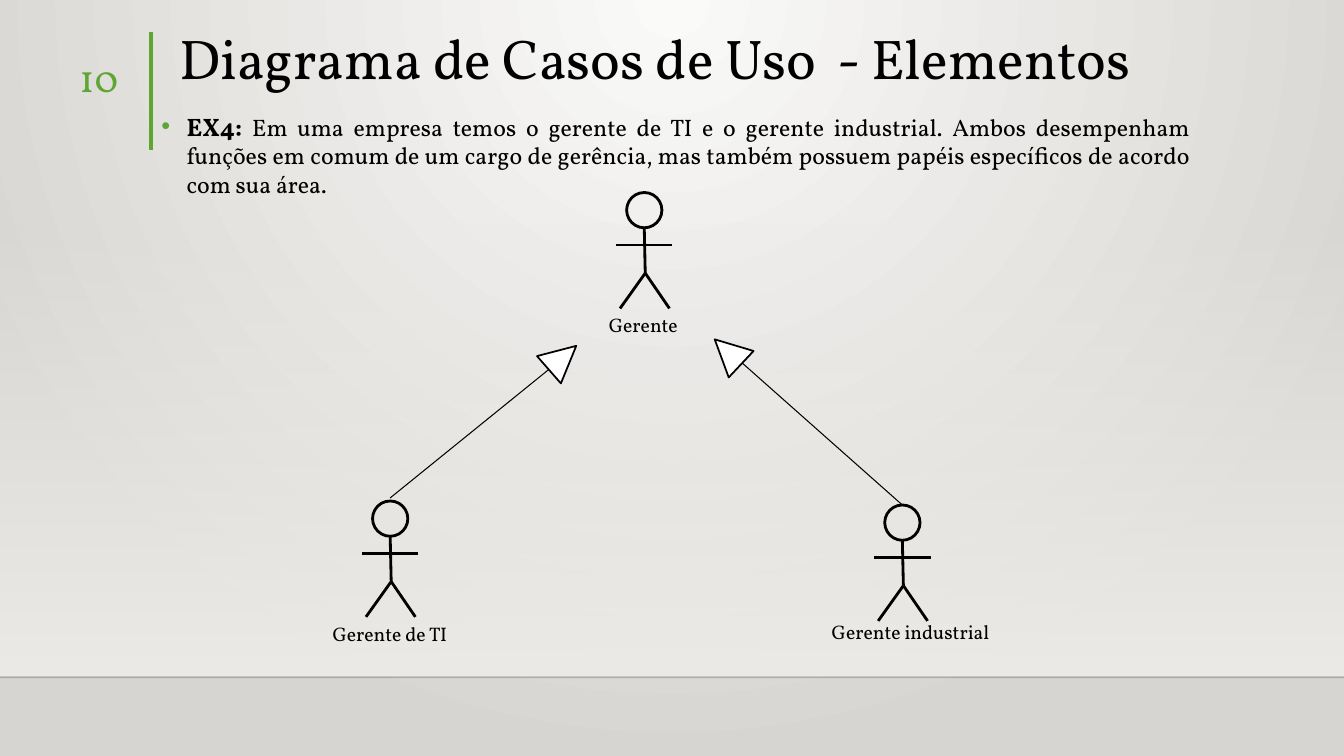
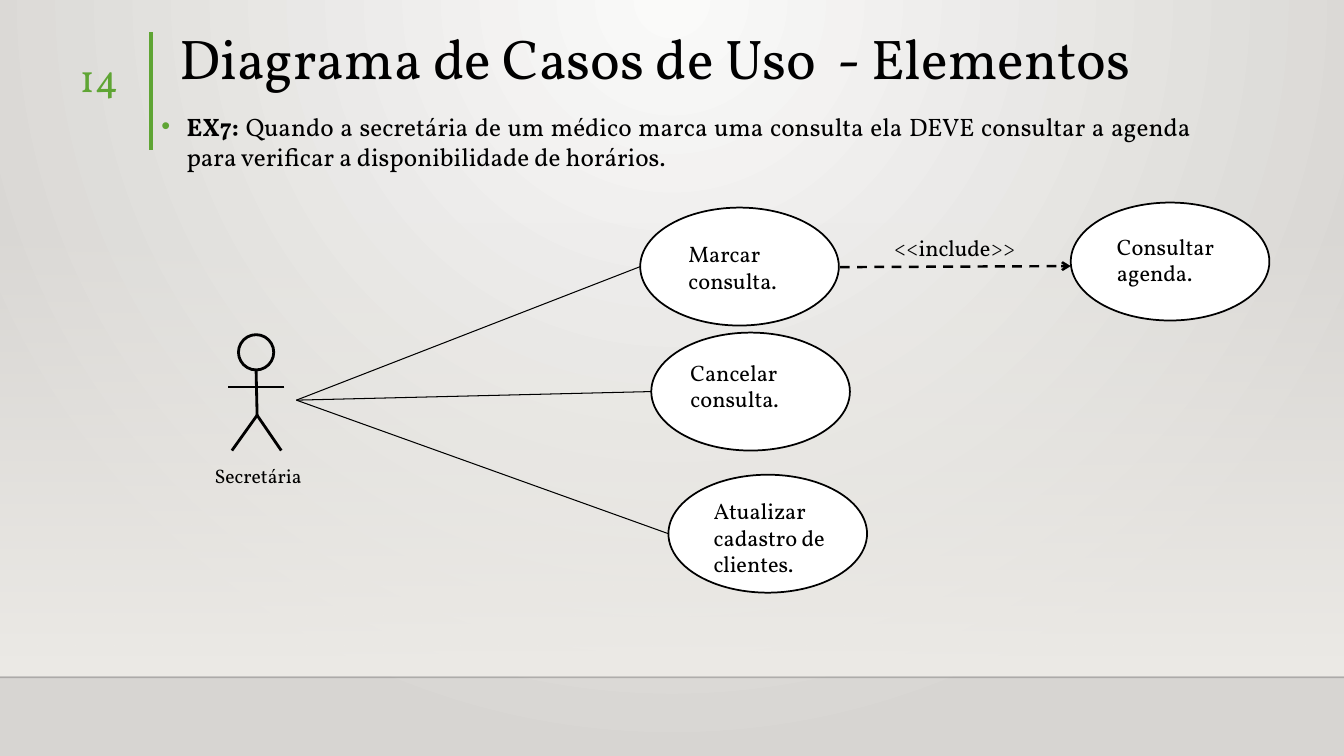
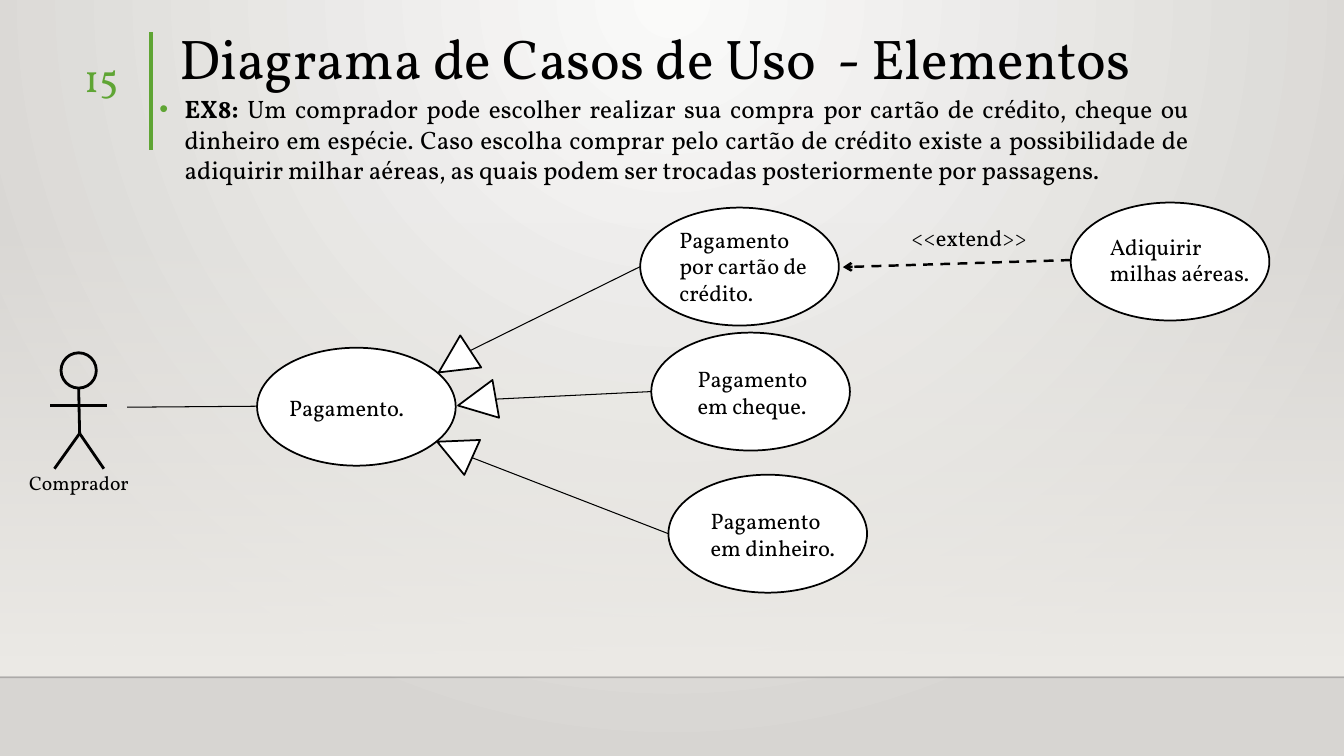
from lxml import etree
from pptx import Presentation
from pptx.dml.color import RGBColor
from pptx.enum.dml import MSO_LINE
from pptx.enum.shapes import MSO_CONNECTOR, MSO_SHAPE
from pptx.enum.text import MSO_ANCHOR, MSO_AUTO_SIZE, PP_ALIGN
from pptx.oxml import parse_xml
from pptx.oxml.ns import nsdecls, qn
from pptx.util import Inches, Pt

STRAIGHT = MSO_CONNECTOR.STRAIGHT
ELLIPSE, TRIANGLE, RECTANGLE = MSO_SHAPE.OVAL, MSO_SHAPE.ISOSCELES_TRIANGLE, MSO_SHAPE.RECTANGLE
LEFT, RIGHT, JUSTIFY = PP_ALIGN.LEFT, PP_ALIGN.RIGHT, PP_ALIGN.JUSTIFY
BOTTOM, NO_FIT, DASH = MSO_ANCHOR.BOTTOM, MSO_AUTO_SIZE.NONE, MSO_LINE.DASH

BLACK = RGBColor(0x00, 0x00, 0x00)
WHITE = RGBColor(0xFF, 0xFF, 0xFF)
GREEN = RGBColor(0x5F, 0xA5, 0x34)
BAND = RGBColor(0xED, 0xEB, 0xE7)
GLOW = RGBColor(0xFA, 0xFA, 0xF9)
EDGE = RGBColor(0xD7, 0xD5, 0xD2)
FONT = "Vollkorn"
TITLE = "Diagrama de Casos de Uso  - Elementos"

CASE_WIDTH, CASE_HEIGHT = 1.97, 1.17
CASE_SPOTS = [(6.35, 2.06), (6.46, 3.3), (6.63, 4.71), (10.62, 2.01)]
CASE_ENDS = [(x, y + CASE_HEIGHT / 2) for x, y in CASE_SPOTS]
SECRETARY_HAND = (2.94, 3.97)

# Stick figure, measured from the top centre of the head
HEAD = 0.35
LIMBS = [
    ((0, 0.35), (0.01, 0.8)),
    ((0.28, 0.52), (-0.28, 0.52)),
    ((0.01, 0.8), (-0.24, 1.15)),
    ((0.01, 0.8), (0.25, 1.15)),
]

# captions: text, left, top, width, size
# triangles: left, top, size, rotation
DIAGRAMS = [
    {
        "number": "10",
        "body_at": (1.5, 1.05, 1.77),
        "example": "EX4:",
        "statement": " Em uma empresa temos o gerente de TI e o gerente industrial. "
        "Ambos desempenham funções em comum de um cargo de gerência, mas também "
        "possuem papéis específicos de acordo com sua área.",
        "statement_size": 17,
        "actors": [(6.39, 1.91), (8.95, 5.01), (3.87, 4.97)],
        "cases": [],
        "lines": [((3.87, 4.94), (5.45, 3.66)), ((8.95, 5.01), (7.36, 3.6))],
        "triangles": [(5.4, 3.37, 0.36, 48.8), (7.04, 3.31, 0.36, 313.2)],
        "dependencies": [],
        "captions": [
            ("Gerente", 5.94, 3.06, 1.1, 14),
            ("Gerente de TI", 3.2, 6.12, 1.46, 14),
            ("Gerente industrial", 8.15, 6.1, 1.99, 14),
        ],
    },
    {
        "number": "14",
        "body_at": (1.5, 1.05, 0.72),
        "example": "EX7: ",
        "statement": "Quando a secretária de um médico marca uma consulta ela DEVE "
        "consultar a agenda para verificar a disponibilidade de horários.",
        "statement_size": 18,
        "actors": [(2.54, 3.32)],
        "cases": CASE_SPOTS,
        "lines": [(SECRETARY_HAND, end) for end in CASE_ENDS[:3]],
        "triangles": [],
        "dependencies": [((8.33, 2.65), (10.62, 2.64))],
        "captions": [
            ("Secretária", 2.03, 4.55, 1.14, 14),
            ("Marcar consulta.", 6.73, 2.33, 1.61, 16),
            ("Cancelar consulta.", 6.75, 3.51, 1.61, 16),
            ("Atualizar cadastro de clientes.", 6.98, 4.88, 1.61, 16),
            ("Consultar agenda.", 10.98, 2.26, 1.61, 16),
            ("<<include>>", 8.77, 2.27, 1.67, 16),
        ],
    },
    {
        "number": "15",
        "body_at": (1.48, 0.88, 1.77),
        "example": "EX8: ",
        "statement": "Um comprador pode escolher realizar sua compra por cartão de "
        "crédito, cheque ou dinheiro em espécie. Caso escolha comprar pelo cartão de "
        "crédito existe a possibilidade de adiquirir milhar aéreas, as quais podem ser "
        "trocadas posteriormente por passagens.",
        "statement_size": 18,
        "actors": [(0.78, 3.5)],
        "cases": CASE_SPOTS + [(2.55, 3.45)],
        "lines": [((1.26, 4.04), (2.55, 4.03))]
        + list(zip([(4.66, 3.48), (4.91, 3.96), (4.68, 4.54)], CASE_ENDS)),
        "triangles": [(4.54, 3.8, 0.38, 260), (4.32, 3.4, 0.38, 236.8), (4.32, 4.27, 0.38, 294.2)],
        "dependencies": [((10.62, 2.58), (8.36, 2.65))],
        "captions": [
            ("Comprador", 0.19, 4.62, 1.4, 14),
            ("Pagamento por cartão de crédito.", 6.64, 2.19, 1.61, 16),
            ("Pagamento em cheque.", 6.82, 3.57, 1.61, 16),
            ("Pagamento em dinheiro.", 6.95, 4.98, 1.61, 16),
            ("Adiquirir milhas aéreas.", 10.91, 2.26, 1.61, 16),
            ("<<extend>>", 8.94, 2.17, 1.67, 16),
            ("Pagamento.", 2.77, 3.86, 1.61, 16),
        ],
    },
]


def add_text(paragraph, text, size=16, color=BLACK, bold=False, align=LEFT):
    paragraph.alignment = align
    run = paragraph.add_run()
    run.text = text
    run.font.name = FONT
    run.font.size = Pt(size)
    run.font.bold = bold
    run.font.color.rgb = color


def add_line(shapes, start, end, width=0.75, color=BLACK, dependency=False):
    line = shapes.add_connector(STRAIGHT, *[Inches(v) for v in (*start, *end)])
    line.line.color.rgb = color
    line.line.width = Pt(width)
    properties = line.element.spPr
    if dependency:
        line.line.dash_style = DASH
        etree.SubElement(properties.find(qn("a:ln")), qn("a:tailEnd"), type="arrow")
    etree.SubElement(properties, qn("a:effectLst"))
    return line


prs = Presentation()
prs.slide_width, prs.slide_height = Inches(13.33), Inches(7.5)
layout = prs.slide_layouts[1]
slides = [prs.slides.add_slide(layout) for diagram in DIAGRAMS]

# Shared background: light from the top centre
layout.element.cSld.insert(0, parse_xml(
    f'<p:bg {nsdecls("p", "a")}><p:bgPr><a:gradFill rotWithShape="1"><a:gsLst>'
    f'<a:gs pos="0"><a:srgbClr val="{GLOW}"/></a:gs>'
    f'<a:gs pos="100000"><a:srgbClr val="{EDGE}"/></a:gs></a:gsLst>'
    '<a:path path="circle"><a:fillToRect l="43000" t="0" r="43000" b="100000"/></a:path>'
    '</a:gradFill><a:effectLst/></p:bgPr></p:bg>'))

# Shared band, floor line and title rule, drawn once and moved to the layout
shapes = slides[0].shapes
band = shapes.add_shape(RECTANGLE, 0, Inches(2.2), Inches(13.33), Inches(4.5))
band.shadow.inherit = False
band.line.fill.background()
band.fill.gradient()
band.fill.gradient_angle = 270
for stop in band.fill.gradient_stops:
    stop.color.rgb = BAND
floor_line = add_line(shapes, (0, 6.72), (13.33, 6.72), width=1)
title_rule = add_line(shapes, (1.5, 0.32), (1.5, 1.49), width=3, color=GREEN)
for part, opacity in ((band, "0"), (floor_line, "20000")):
    first_color = next(part.element.spPr.iter(qn("a:srgbClr")))
    etree.SubElement(first_color, qn("a:alpha"), val=opacity)
for position, part in enumerate((band, floor_line, title_rule), start=2):
    layout.shapes.element.insert(position, part.element)

# Shared title place
layout_title = layout.placeholders[0]
layout_title.left, layout_title.top = Inches(1.68), Inches(0.11)
layout_title.width, layout_title.height = Inches(10.41), Inches(0.85)

for slide, diagram in zip(slides, DIAGRAMS):
    shapes = slide.shapes

    # Title
    title = shapes.title.text_frame
    title.vertical_anchor = BOTTOM
    title.auto_size = NO_FIT
    title.paragraphs[0].line_spacing = 0.9
    add_text(title.paragraphs[0], TITLE, size=40)

    # Example statement
    body = slide.placeholders[1]
    left, top, height = diagram["body_at"]
    body.left, body.top = Inches(left), Inches(top)
    body.width, body.height = Inches(10.41), Inches(height)
    body.text_frame.auto_size = NO_FIT
    statement = body.text_frame.paragraphs[0]
    statement.space_before = Pt(0)
    add_text(statement, diagram["example"], size=18, bold=True, align=JUSTIFY)
    add_text(statement, diagram["statement"], size=diagram["statement_size"], align=JUSTIFY)
    bullet = statement._p.get_or_add_pPr()
    bullet.set("marL", str(Inches(0.25)))
    bullet.set("indent", str(-Inches(0.25)))
    bullet_color = etree.SubElement(bullet, qn("a:buClr"))
    etree.SubElement(bullet_color, qn("a:srgbClr"), val=str(GREEN))
    etree.SubElement(bullet, qn("a:buChar"), char="•")

    # Slide number
    number = shapes.add_textbox(Inches(0.38), Inches(0.48), Inches(0.89), Inches(0.55))
    number.text_frame.word_wrap = True
    add_text(number.text_frame.paragraphs[0], diagram["number"], size=28, color=GREEN, align=RIGHT)

    # Relations
    for start, end in diagram["lines"]:
        add_line(shapes, start, end)
    for start, end in diagram["dependencies"]:
        add_line(shapes, start, end, width=1.75, dependency=True)

    # Use cases and generalization heads
    outlines = [(ELLIPSE, x, y, CASE_WIDTH, CASE_HEIGHT, 0) for x, y in diagram["cases"]]
    outlines += [(TRIANGLE, x, y, side, side, turn) for x, y, side, turn in diagram["triangles"]]
    for kind, x, y, width, height, turn in outlines:
        outline = shapes.add_shape(kind, Inches(x), Inches(y), Inches(width), Inches(height))
        outline.rotation = turn
        outline.shadow.inherit = False
        outline.fill.solid()
        outline.fill.fore_color.rgb = WHITE
        outline.line.color.rgb = BLACK
        outline.line.width = Pt(1.25)

    # Actors
    for x, y in diagram["actors"]:
        actor = shapes.add_group_shape().shapes
        head = actor.add_shape(ELLIPSE, Inches(x - HEAD / 2), Inches(y), Inches(HEAD), Inches(HEAD))
        head.shadow.inherit = False
        head.fill.background()
        head.line.color.rgb = BLACK
        head.line.width = Pt(2)
        for (x1, y1), (x2, y2) in LIMBS:
            add_line(actor, (x + x1, y + y1), (x + x2, y + y2), width=2)

    # Captions
    for text, x, y, width, size in diagram["captions"]:
        caption = shapes.add_textbox(Inches(x), Inches(y), Inches(width), Inches(0.37))
        caption.text_frame.word_wrap = True
        add_text(caption.text_frame.paragraphs[0], text, size=size)

prs.save("out.pptx")
